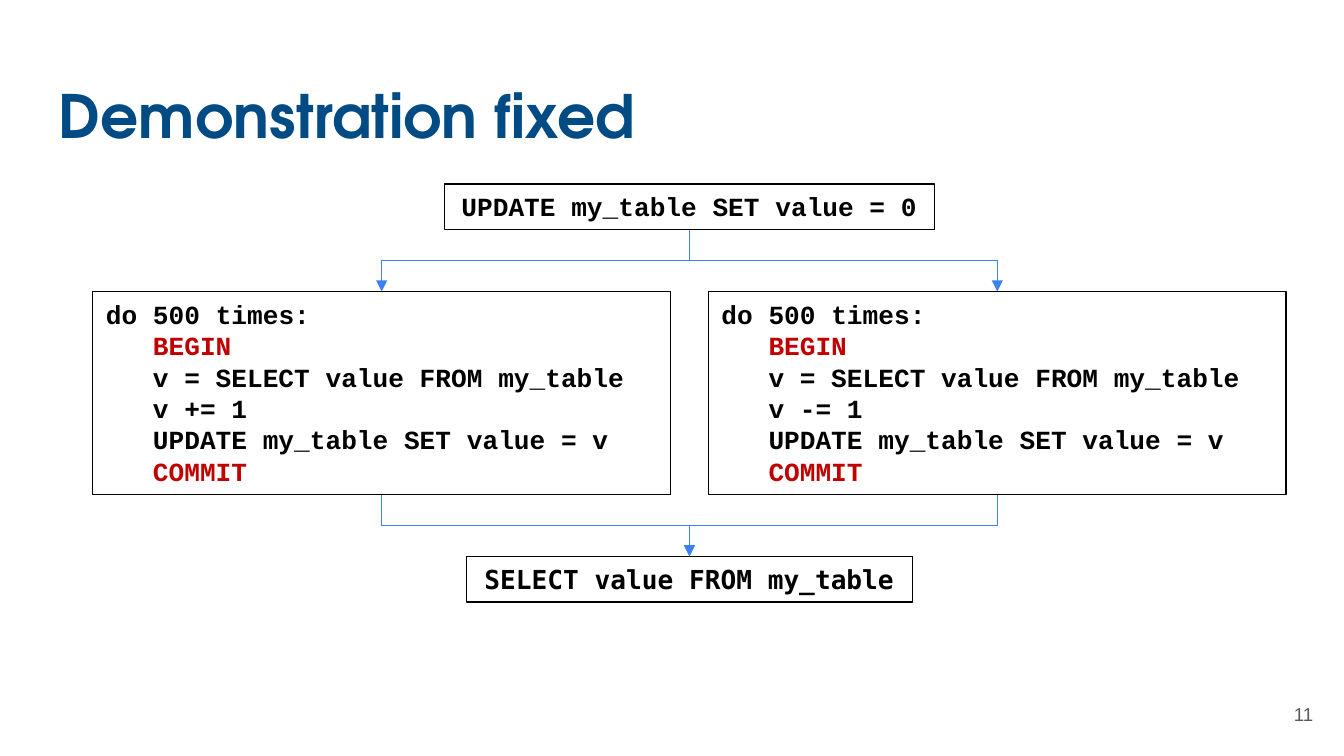
from lxml.etree import SubElement
from pptx import Presentation
from pptx.dml.color import RGBColor
from pptx.enum.shapes import MSO_CONNECTOR, MSO_SHAPE
from pptx.enum.text import MSO_ANCHOR, PP_ALIGN
from pptx.oxml.ns import qn
from pptx.util import Inches, Pt

COLORS = {"title": "004B83", "number": "595959", "code": "000000",
          "transaction": "C00000", "arrow": "3C81F3"}
CENTER, BRANCH_OFFSET = 5.13, 2.29
BRANCH_WIDTH, BRANCH_TOP, BRANCH_BOTTOM = 4.3, 2.17, 3.68
START_TOP, START_BOTTOM, RESULT_TOP = 1.37, 1.71, 4.14


def color(name):
    """Return a named colour."""
    return RGBColor.from_string(COLORS[name])


def set_font(para, name, size, color_name, bold=False):
    """Set the font of a paragraph."""
    font = para.font
    font.name, font.size, font.bold = name, Pt(size), bold
    font.color.rgb = color(color_name)


def add_label(page, place, text, font, align=PP_ALIGN.LEFT, anchor=MSO_ANCHOR.TOP):
    """Add a plain one-line text box."""
    frame = page.shapes.add_textbox(*map(Inches, place)).text_frame
    frame.word_wrap = True
    frame.vertical_anchor = anchor
    frame.margin_left = frame.margin_right = Inches(0.1)
    frame.margin_top = frame.margin_bottom = Inches(0.1)
    para = frame.paragraphs[0]
    para.text, para.alignment = text, align
    set_font(para, *font)


def add_code_box(page, center, top, width, height, lines,
                 font="Courier New", align=PP_ALIGN.CENTER):
    """Add an outlined box of code, indenting every line after the first."""
    box = page.shapes.add_shape(MSO_SHAPE.RECTANGLE, Inches(center - width / 2),
                                Inches(top), Inches(width), Inches(height))
    box.shadow.inherit = False
    box.fill.background()
    box.line.color.rgb = color("code")
    box.line.width = Pt(0.75)
    frame = box.text_frame
    frame.word_wrap = True
    frame.vertical_anchor = MSO_ANCHOR.TOP
    for index, line in enumerate(lines):
        para = frame.add_paragraph() if index else frame.paragraphs[0]
        para.text, para.alignment = line, align
        shade = "transaction" if line in ("BEGIN", "COMMIT") else "code"
        set_font(para, font, 14, shade, True)
        if index:
            para._p.get_or_add_pPr().set("marL", str(Inches(0.35)))


def add_arrow(page, start, end):
    """Add an elbow arrow that leaves and arrives vertically."""
    (x1, y1), (x2, y2) = start, end
    middle_x, middle_y = (x1 + x2) / 2, (y1 + y2) / 2
    half_run = (y2 - y1) / 2 * (1 if x2 < x1 else -1)
    half_rise = abs(x2 - x1) / 2
    arrow = page.shapes.add_connector(
        MSO_CONNECTOR.ELBOW,
        Inches(middle_x - half_run), Inches(middle_y - half_rise),
        Inches(middle_x + half_run), Inches(middle_y + half_rise))
    arrow.line.color.rgb = color("arrow")
    arrow.line.width = Pt(0.75)
    properties = arrow._element.spPr
    properties.find(qn("a:xfrm")).set("rot", str((90 if x2 < x1 else 270) * 60000))
    SubElement(arrow.line._get_or_add_ln(), qn("a:tailEnd"), type="triangle")
    SubElement(properties, qn("a:effectLst"))


def main():
    """Build the slide."""
    deck = Presentation()
    deck.slide_width, deck.slide_height = Inches(10), Inches(10 * 9 / 16)
    page = deck.slides.add_slide(deck.slide_layouts[6])

    add_label(page, (0.34, 0.49, 9.32, 0.63), "Demonstration fixed",
              ("TeX Gyre Adventor", 32, "title", True))
    add_label(page, (9.27, 5.1, 0.6, 0.43), "11", ("Arial", 10, "number"),
              PP_ALIGN.RIGHT, MSO_ANCHOR.MIDDLE)

    add_code_box(page, CENTER, START_TOP, 3.65, START_BOTTOM - START_TOP,
                 ["UPDATE my_table SET value = 0"])
    add_code_box(page, CENTER, RESULT_TOP, 3.32, 0.34,
                 ["SELECT value FROM my_table"], "DejaVu Sans Mono")

    for side, step in ((-1, "v += 1"), (1, "v -= 1")):
        branch = CENTER + side * BRANCH_OFFSET
        lines = ["do 500 times:", "BEGIN", "v = SELECT value FROM my_table",
                 step, "UPDATE my_table SET value = v", "COMMIT"]
        add_code_box(page, branch, BRANCH_TOP, BRANCH_WIDTH,
                     BRANCH_BOTTOM - BRANCH_TOP, lines, align=PP_ALIGN.LEFT)
        add_arrow(page, (CENTER, START_BOTTOM), (branch, BRANCH_TOP))
        add_arrow(page, (branch, BRANCH_BOTTOM), (CENTER, RESULT_TOP))

    deck.save("out.pptx")


if __name__ == "__main__":
    main()
